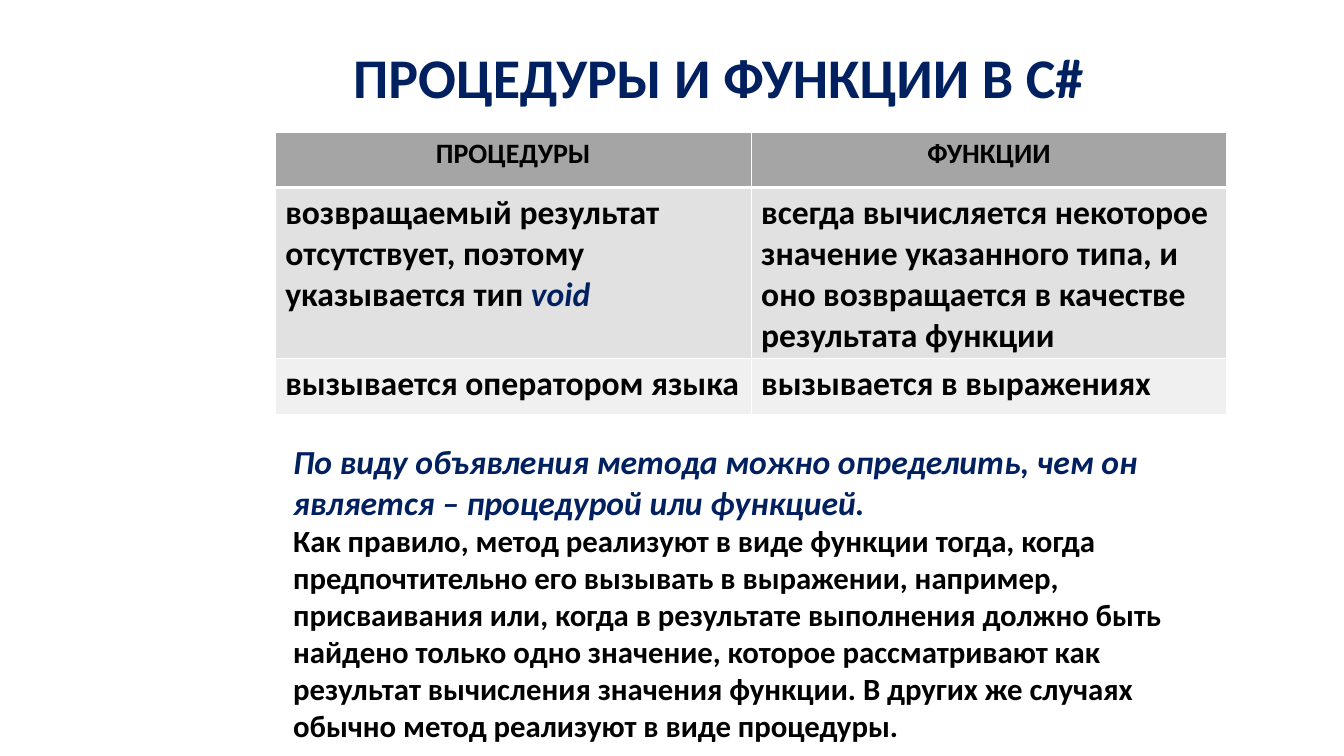
from dataclasses import dataclass

from lxml import etree
from pptx import Presentation
from pptx.dml.color import RGBColor
from pptx.enum.text import MSO_ANCHOR, PP_ALIGN
from pptx.oxml.ns import qn
from pptx.slide import Slide
from pptx.table import _Cell
from pptx.text.text import TextFrame, _Paragraph
from pptx.util import Inches, Pt

LEFT, CENTER = PP_ALIGN.LEFT, PP_ALIGN.CENTER
TOP, MIDDLE = MSO_ANCHOR.TOP, MSO_ANCHOR.MIDDLE
NAVY = RGBColor(0x00, 0x20, 0x60)
BLACK = RGBColor(0x00, 0x00, 0x00)
WHITE = RGBColor(0xFF, 0xFF, 0xFF)
HEADER_GRAY = RGBColor(0xA5, 0xA5, 0xA5)
DARK_BAND = RGBColor(0xE1, 0xE1, 0xE1)
LIGHT_BAND = RGBColor(0xF0, 0xF0, 0xF0)
FONT = "Calibri"
COLUMN_WIDTH = 4.72


@dataclass(frozen=True)
class TableRow:
    texts: tuple[str, str]
    height: float
    fill: RGBColor
    size: int = 24
    align: PP_ALIGN = LEFT
    bottom_border: int = 1


ROWS = (
    TableRow(("ПРОЦЕДУРЫ", "ФУНКЦИИ"), 0.55, HEADER_GRAY,
             size=20, align=CENTER, bottom_border=3),
    TableRow(("возвращаемый результат отсутствует, поэтому указывается тип ",
              "всегда вычисляется некоторое значение указанного типа, и оно "
              "возвращается в качестве результата функции"), 1.7, DARK_BAND),
    TableRow(("вызывается оператором языка", "вызывается в выражениях"),
             0.55, LIGHT_BAND),
)


def write(para: _Paragraph, text: str, *, size: int, color: RGBColor = BLACK,
          italic: bool = False, align: PP_ALIGN = LEFT) -> None:
    para.alignment = align
    span = para.add_run()
    span.text = text
    span.font.name = FONT
    span.font.size = Pt(size)
    span.font.bold = True
    span.font.italic = italic
    span.font.color.rgb = color


def add_text_box(page: Slide, left: float, top: float, width: float,
                 height: float, anchor: MSO_ANCHOR = TOP) -> TextFrame:
    box = page.shapes.add_textbox(Inches(left), Inches(top), Inches(width), Inches(height))
    frame = box.text_frame
    frame.word_wrap = True
    frame.vertical_anchor = anchor
    return frame


def set_borders(cell: _Cell, bottom: int, top: int) -> None:
    properties = cell._tc.get_or_add_tcPr()
    widths = {"a:lnL": 1, "a:lnR": 1, "a:lnT": top, "a:lnB": bottom}
    for position, (tag, width) in enumerate(widths.items()):
        line = etree.Element(qn(tag), w=str(Pt(width)))
        fill = etree.SubElement(line, qn("a:solidFill"))
        etree.SubElement(fill, qn("a:srgbClr"), val=str(WHITE))
        properties.insert(position, line)


def add_comparison(page: Slide, left: float, top: float) -> None:
    columns = len(ROWS[0].texts)
    height = sum(row.height for row in ROWS)
    table = page.shapes.add_table(len(ROWS), columns, Inches(left), Inches(top),
                                  Inches(columns * COLUMN_WIDTH), Inches(height)).table
    for column in table.columns:
        column.width = Inches(COLUMN_WIDTH)
    top_border = 1
    for row_index, row in enumerate(ROWS):
        table.rows[row_index].height = Inches(row.height)
        for column_index, text in enumerate(row.texts):
            cell = table.cell(row_index, column_index)
            cell.fill.solid()
            cell.fill.fore_color.rgb = row.fill
            set_borders(cell, row.bottom_border, top_border)
            write(cell.text_frame.paragraphs[0], text, size=row.size, align=row.align)
        top_border = row.bottom_border
    write(table.cell(1, 0).text_frame.paragraphs[0], "void", size=24, color=NAVY, italic=True)


deck = Presentation()
deck.slide_width, deck.slide_height = Inches(13.33), Inches(7.5)
page = deck.slides.add_slide(deck.slide_layouts[6])

title = add_text_box(page, 1.78, 0.3, 10.69, 0.99, MIDDLE).paragraphs[0]
title.line_spacing = 0.9
write(title, "ПРОЦЕДУРЫ И ФУНКЦИИ В C#", size=40, color=NAVY, align=CENTER)

add_comparison(page, 2.73, 1.31)

conclusion = add_text_box(page, 2.81, 4.33, 9.37, 3.13)
write(conclusion.paragraphs[0],
      "По виду объявления метода можно определить, чем он является – "
      "процедурой или функцией.", size=24, color=NAVY, italic=True)
write(conclusion.add_paragraph(),
      "Как правило, метод реализуют в виде функции тогда, когда предпочтительно "
      "его вызывать в выражении, например, присваивания или, когда в результате "
      "выполнения должно быть найдено только одно значение, которое рассматривают "
      "как результат вычисления значения функции. В других же случаях обычно "
      "метод реализуют в виде процедуры.", size=22)

deck.save("out.pptx")
